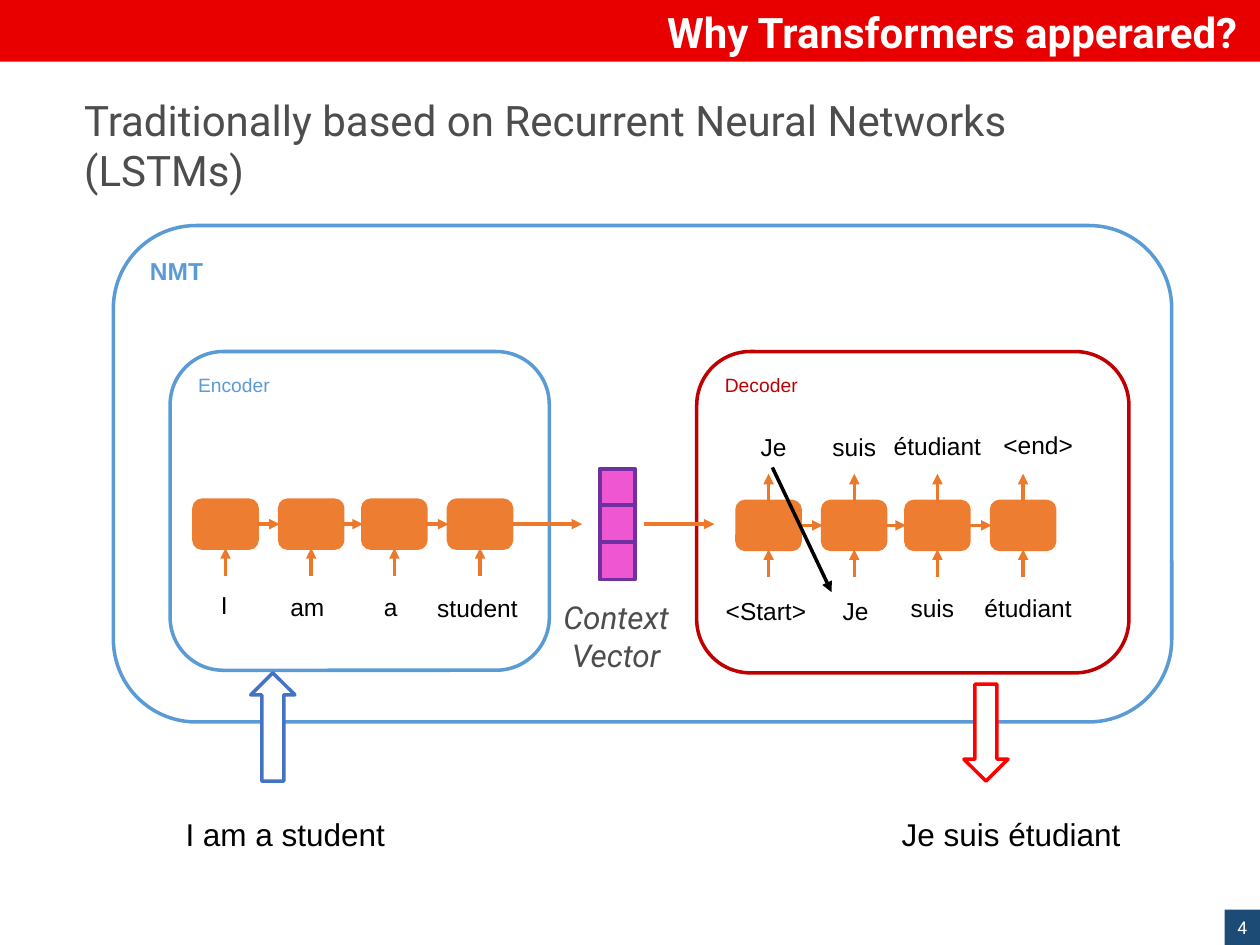
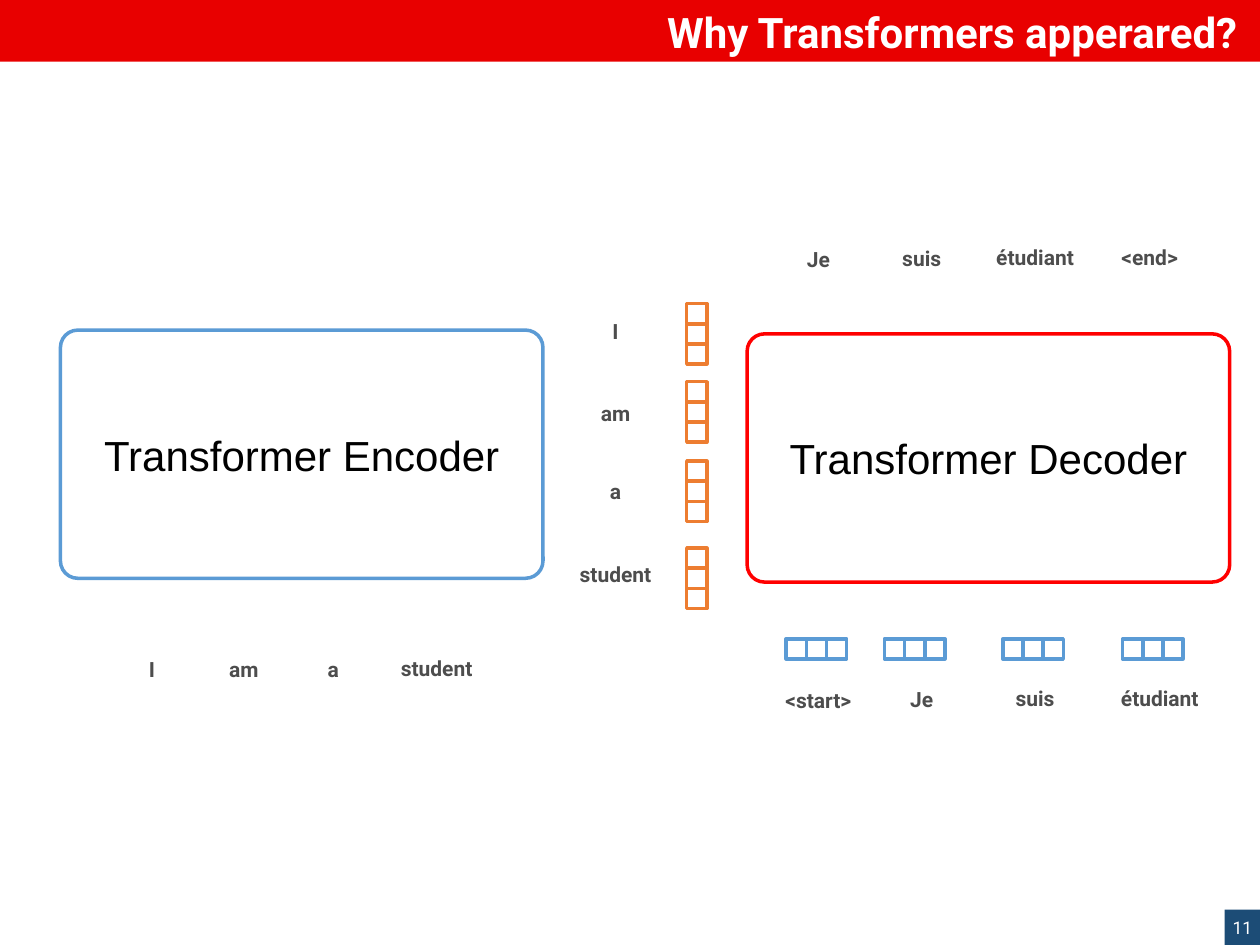
from pptx import Presentation
from pptx.dml.color import RGBColor
from pptx.enum.shapes import MSO_CONNECTOR as Link, MSO_SHAPE as Form
from pptx.enum.text import MSO_ANCHOR as Anchor, MSO_AUTO_SIZE as AutoSize, PP_ALIGN as Align
from pptx.oxml.ns import qn
from pptx.util import Inches, Pt
from lxml.etree import SubElement

COLORS = {
    "band": "E80000", "badge": "1C4C76", "white": "FFFFFF", "black": "000000",
    "gray": "4D4D4D", "blue": "5B9BD5", "deep_blue": "4472C4", "dark_red": "C00000",
    "red": "FF0000", "orange": "ED7D31", "arrow": "EC792B", "pink": "EF57D2",
    "purple": "7030A0",
}
STYLES = {
    "title": {"name": "Roboto", "size": Pt(24), "bold": True, "color": "white"},
    "badge": {"name": "Roboto", "size": Pt(10), "color": "white"},
    "body": {"name": "Roboto", "size": Pt(24), "color": "gray"},
    "caption": {"name": "Roboto", "size": Pt(18), "italic": True, "color": "gray"},
    "token": {"name": "Roboto", "size": Pt(12), "bold": True, "color": "gray"},
    "word": {"name": "Arial", "size": Pt(14), "color": "black"},
    "sentence": {"name": "Arial", "size": Pt(18), "color": "black"},
    "block": {"name": "Arial", "size": Pt(24), "color": "black"},
    "nmt": {"name": "Arial", "size": Pt(14), "bold": True, "color": "blue"},
    "encoder": {"name": "Arial", "size": Pt(11), "color": "blue"},
    "decoder": {"name": "Arial", "size": Pt(11), "color": "dark_red"},
}
TITLE = "Why Transformers apperared?"
CELL_STEPS = (0, 0.68, 1.34, 2.02)
CELL_SIZE = (0.5, 0.38)
STUB = 0.22
SQUARE = 0.16


def color(name):
    """Return the named colour."""
    return RGBColor.from_string(COLORS[name])


def write(shape, text, style, align=Align.CENTER, anchor=Anchor.TOP):
    """Put one formatted paragraph into a shape."""
    frame = shape.text_frame
    settings = {"word_wrap": True, "auto_size": AutoSize.NONE, "vertical_anchor": anchor}
    for key, value in settings.items():
        setattr(frame, key, value)
    para = frame.paragraphs[0]
    para.alignment = align
    span = para.add_run()
    span.text = text
    for key, value in STYLES[style].items():
        if key == "color":
            span.font.color.rgb = color(value)
        else:
            setattr(span.font, key, value)


def add_text(page, box, text, style, align=Align.CENTER):
    """Add a text box."""
    write(page.shapes.add_textbox(*map(Inches, box)), text, style, align)


def add_form(page, form, box, fill=None, line=None, weight=2):
    """Add a preset shape with an optional fill and outline."""
    shape = page.shapes.add_shape(form, *map(Inches, box))
    shape.shadow.inherit = False
    if fill:
        shape.fill.solid()
        shape.fill.fore_color.rgb = color(fill)
    else:
        shape.fill.background()
    if line:
        shape.line.color.rgb = color(line)
        shape.line.width = Pt(weight)
    else:
        shape.line.fill.background()
    return shape


def add_arrow(page, start, end, line="arrow", source=None, target=None):
    """Draw an arrow, joined to (shape, side) pairs where given."""
    arrow = page.shapes.add_connector(Link.STRAIGHT, *map(Inches, (*start, *end)))
    if source:
        arrow.begin_connect(*source)
    if target:
        arrow.end_connect(*target)
    arrow.line.color.rgb = color(line)
    arrow.line.width = Pt(2)
    SubElement(arrow.line._get_or_add_ln(), qn("a:tailEnd"), type="triangle")
    SubElement(arrow._element.spPr, qn("a:effectLst"))


def add_words(page, box, words, style, width):
    """Place words given as (text, left, top) relative to a box."""
    for text, left, top in words:
        add_text(page, (box[0] + left, box[1] + top, width, 0.35), text, style)


def add_band(page):
    """Move one red title band to the shared layout."""
    band = add_form(page, Form.RECTANGLE, (0, -0.01, 10, 0.5), "band")
    page.slide_layout.shapes._spTree.insert(2, band._element)


def add_page(deck, number):
    """Add a page with its title and number badge."""
    page = deck.slides.add_slide(deck.slide_layouts[5])
    title = page.shapes.title
    for key, value in zip(("left", "top", "width", "height"), (1.42, 0.09, 8.5, 0.33)):
        setattr(title, key, Inches(value))
    write(title, TITLE, "title", Align.RIGHT, Anchor.MIDDLE)
    badge = add_form(page, Form.RECTANGLE, (9.72, 7.22, 0.28, 0.28), "badge")
    for side in ("left", "top", "right", "bottom"):
        setattr(badge.text_frame, f"margin_{side}", Inches(0.04))
    write(badge, str(number), "badge", anchor=Anchor.MIDDLE)
    return page


def add_panel(page, box, text, style):
    """Add an outlined panel labelled at its top left."""
    panel = add_form(page, Form.ROUNDED_RECTANGLE, box, line=STYLES[style]["color"])
    write(panel, text, style, Align.LEFT)


def add_network(page, box, offset, words, has_outputs=False):
    """Add a chain of recurrent cells with words inside a panel."""
    width, height = CELL_SIZE
    top = box[1] + offset[1]
    previous = None
    for step in CELL_STEPS:
        left = box[0] + offset[0] + step
        center = left + width / 2
        cell = add_form(page, Form.ROUNDED_RECTANGLE, (left, top, width, height),
                        "orange", "orange")
        base = top + height
        add_arrow(page, (center, base + STUB), (center, base), target=(cell, 2))
        if has_outputs:
            add_arrow(page, (center, top), (center, top - STUB), source=(cell, 0))
        if previous:
            add_arrow(page, (left, top), (left, top), source=(previous, 3), target=(cell, 1))
        previous = cell
    add_words(page, box, words, "word", 0.94)
    return previous


def add_context(page, box):
    """Add the context vector with its caption."""
    left, top, width, height = box
    for index in range(3):
        add_form(page, Form.RECTANGLE, (left, top + index * (height - 0.01), width, height),
                 "pink", "purple", 2.25)
    add_text(page, (left - 0.71, top + 0.98, 1.68, 0.73), "Context Vector", "caption")


def recurrent_page(deck):
    """Show translation with recurrent networks."""
    page = add_page(deck, 4)
    add_band(page)
    add_text(page, (0.57, 0.7, 8.78, 0.57),
             "Traditionally based on Recurrent Neural Networks (LSTMs)", "body", Align.LEFT)
    encoder, decoder = (1.35, 2.79, 3.01, 2.53), (5.53, 2.79, 3.43, 2.55)
    add_panel(page, (0.9, 1.79, 8.4, 3.94), "NMT", "nmt")
    add_panel(page, encoder, "Encoder", "encoder")
    add_panel(page, decoder, "Decoder", "decoder")
    last = add_network(page, encoder, (0.19, 1.18), (
        ("I", -0.04, 1.84), ("am", 0.62, 1.86), ("a", 1.28, 1.86), ("student", 1.97, 1.87)))
    add_arrow(page, (4.06, 4.16), (4.62, 4.16), source=(last, 3))
    add_context(page, (4.76, 3.72, 0.28, 0.3))
    add_arrow(page, (5.11, 4.16), (5.67, 4.16))
    add_network(page, decoder, (0.32, 1.19), (
        ("Je", 0.14, 0.59), ("suis", 0.78, 0.59), ("étudiant", 1.44, 0.58),
        ("<end>", 2.24, 0.57), ("<Start>", 0.08, 1.89), ("Je", 0.79, 1.89),
        ("suis", 1.4, 1.87), ("étudiant", 2.16, 1.87)), has_outputs=True)
    add_arrow(page, (6.13, 3.71), (6.6, 4.7), "black")
    add_form(page, Form.UP_ARROW, (1.99, 5.34, 0.35, 0.86), "white", "deep_blue")
    output = add_form(page, Form.UP_ARROW, (7.65, 5.43, 0.35, 0.77), "white", "red")
    output.rotation = 180
    for left, sentence in ((1.08, "I am a student"), (6.84, "Je suis étudiant")):
        add_text(page, (left, 6.42, 2.37, 0.4), sentence, "sentence")


def add_block(page, box, text, line, words):
    """Add a transformer block with the words around it."""
    block = add_form(page, Form.ROUNDED_RECTANGLE, box, "white", line)
    block.adjustments[0] = 0.07
    write(block, text, "block", anchor=Anchor.MIDDLE)
    add_words(page, box, words, "token", 0.99)


def add_vector(page, left, top, line, step):
    """Add three squares, each moved by the (x, y) step."""
    for index in range(3):
        add_form(page, Form.RECTANGLE,
                 (left + index * step[0], top + index * step[1], SQUARE, SQUARE),
                 "white", line)


def transformer_page(deck):
    """Show the transformer encoder and decoder."""
    page = add_page(deck, 11)
    add_block(page, (0.48, 2.62, 3.83, 1.97), "Transformer Encoder", "blue", (
        ("I", 0.23, 2.54), ("am", 0.96, 2.54), ("a", 1.67, 2.54), ("student", 2.49, 2.53),
        ("I", 3.91, -0.14), ("am", 3.91, 0.51), ("a", 3.91, 1.13), ("student", 3.91, 1.79)))
    add_block(page, (5.93, 2.65, 3.83, 1.97), "Transformer Decoder", "red", (
        ("Je", 0.07, -0.74), ("suis", 0.89, -0.75), ("étudiant", 1.79, -0.76),
        ("<end>", 2.7, -0.76), ("<start>", 0.07, 2.76), ("Je", 0.89, 2.75),
        ("suis", 1.79, 2.74), ("étudiant", 2.78, 2.74)))
    for top in (2.41, 3.03, 3.66, 4.35):
        add_vector(page, 5.45, top, "orange", (0, SQUARE))
    for left in (6.24, 7.02, 7.96, 8.91):
        add_vector(page, left, 5.07, "blue", (SQUARE, 0))


def main():
    """Build and save the deck."""
    deck = Presentation()
    deck.slide_width, deck.slide_height = Inches(10), Inches(7.5)
    recurrent_page(deck)
    transformer_page(deck)
    deck.save("out.pptx")


if __name__ == "__main__":
    main()
